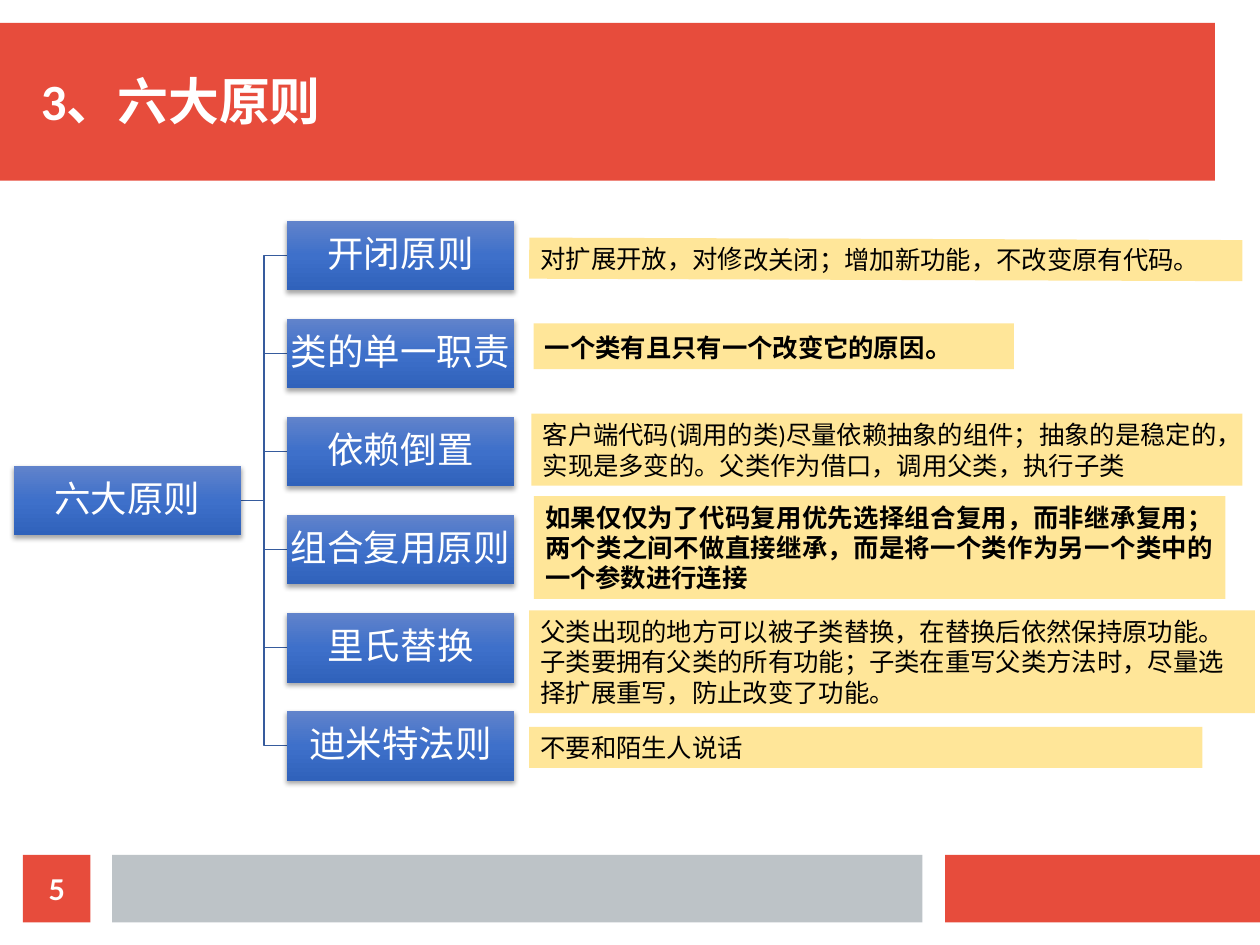
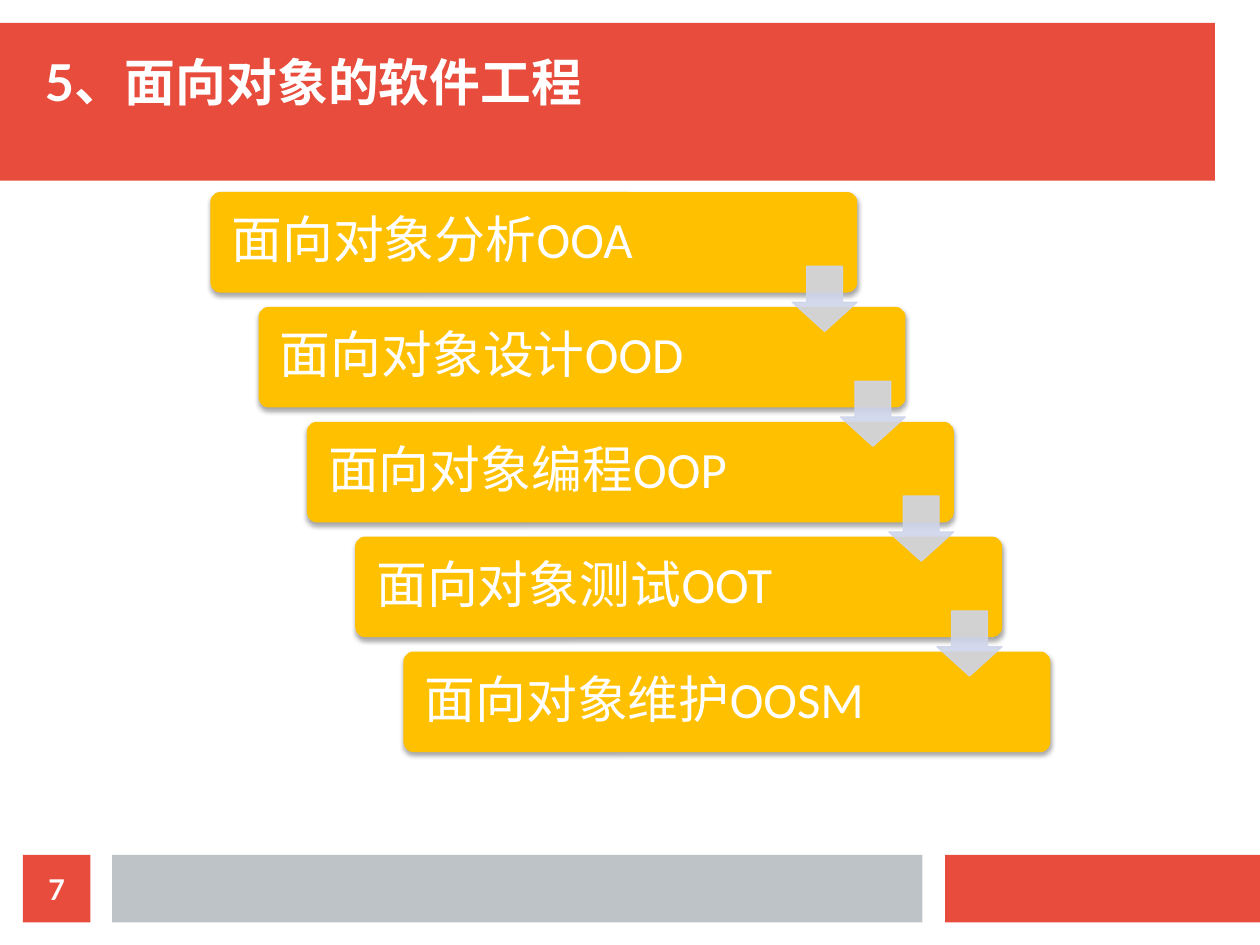
import pptx
import pptx.util
import pptx.dml.color
import pptx.enum.shapes
import pptx.enum.text
import pptx.oxml
import pptx.oxml.ns

Inches = pptx.util.Inches
Pt = pptx.util.Pt
SHAPE = pptx.enum.shapes.MSO_SHAPE
ALIGN = pptx.enum.text.PP_ALIGN
ANCHOR = pptx.enum.text.MSO_ANCHOR

COLORS = {
    "red": "E74C3C", "grey": "BDC3C7", "white": "FFFFFF", "black": "000000",
    "branch": "365B9D", "note": "FFE699", "step": "FFC000", "arrow": "CFD5EA",
}
NODE_GRADIENT = [(0, "6183CB"), (50, "3E70CA"), (100, "3062BB")]
BANDS = [
    ((0, 0.2, 10.63, 1.38), "red"),
    ((8.27, 7.48, 2.76, 0.59), "red"),
    ((0.98, 7.48, 7.09, 0.59), "grey"),
]
NUMBER_BOX = (0.2, 7.48, 0.59, 0.59)
NOTE_INSETS = (0.1, 0.05, 0.1, 0.05)

ROOT = "六大原则"
PRINCIPLES = ["开闭原则", "类的单一职责", "依赖倒置", "组合复用原则", "里氏替换", "迪米特法则"]
NOTES = [
    {"box": (4.63, 2.09, 6.24, 0.36), "rotation": 0.2, "align": ALIGN.JUSTIFY,
     "text": [["对扩展开放，对修改关闭；增加新功能，不改变原有代码。"]]},
    {"box": (4.67, 2.83, 4.2, 0.4), "bold": True, "align": ALIGN.JUSTIFY,
     "text": [["一个类有且只有一个改变它的原因", ("。", 18)]]},
    {"box": (4.65, 3.62, 6.22, 0.63),
     "text": [["客户端代码(调用的类)尽量依赖抽象的组件；抽象的是稳定的，"
               "实现是多变的。父类作为借口，调用父类，执行子类"]]},
    {"box": (4.67, 4.34, 6.05, 0.9), "bold": True, "align": ALIGN.JUSTIFY,
     "text": [["如果仅仅为了代码复用优先选择组合复用，而非继承复用；"
               "两个类之间不做直接继承，而是将一个类作为另一个类中的一个参数进行连接"]]},
    {"box": (4.63, 5.34, 6.35, 0.9),
     "text": [["父类出现的地方可以被子类替换，在替换后依然保持原功能。"],
              ["子类要拥有父类的所有功能；子类在重写父类方法时，尽量选择扩展重写，防止改变了功能。"]]},
    {"box": (4.63, 6.36, 5.89, 0.36), "text": [["不要和陌生人说话"]]},
]
STEPS = ["面向对象分析OOA", "面向对象设计OOD", "面向对象编程OOP", "面向对象测试OOT", "面向对象维护OOSM"]


def rgb(name):
    return pptx.dml.color.RGBColor.from_string(COLORS[name])


def xml(tag, body="", attrs=""):
    return pptx.oxml.parse_xml(
        f'<a:{tag} {pptx.oxml.ns.nsdecls("a")} {attrs}>{body}</a:{tag}>')


def put_text(sp, text, size=16, font="Calibri", color="white", bold=False, align=ALIGN.LEFT,
             anchor=ANCHOR.TOP, insets=(0, 0, 0, 0), spacing=None, after=None):
    tf = sp.text_frame
    tf.word_wrap = True
    tf.vertical_anchor = anchor
    tf.margin_left, tf.margin_top, tf.margin_right, tf.margin_bottom = map(Inches, insets)
    paragraphs = [[text]] if isinstance(text, str) else text
    for i, runs in enumerate(paragraphs):
        p = tf.add_paragraph() if i else tf.paragraphs[0]
        p.alignment = align
        if spacing:
            p.line_spacing = spacing
        if after:
            p.space_after = Pt(after)
        for run in runs:
            words, run_size = (run, size) if isinstance(run, str) else run
            r = p.add_run()
            r.text = words
            r.font.name, r.font.size, r.font.bold = font, Pt(run_size), bold
            r.font.color.rgb = rgb(color)


def add_box(s, box, fill=None, kind=SHAPE.RECTANGLE, adjust=(), shadow=False):
    sp = s.shapes.add_shape(kind, *map(Inches, box))
    for i, value in enumerate(adjust):
        sp.adjustments[i] = value
    if fill:
        sp.fill.solid()
        sp.fill.fore_color.rgb = rgb(fill)
    sp.line.fill.background()
    sp.shadow.inherit = False
    if shadow:
        effects = sp._element.spPr.find(pptx.oxml.ns.qn("a:effectLst"))
        effects.append(xml(
            "outerShdw", '<a:srgbClr val="000000"><a:alpha val="35000"/></a:srgbClr>',
            'blurRad="40000" dist="23000" dir="5400000" rotWithShape="0"'))
    return sp


def add_node(s, box, text):
    sp = add_box(s, box, shadow=True)
    stops = "".join(f'<a:gs pos="{pos * 1000}"><a:srgbClr val="{color}"/></a:gs>'
                    for pos, color in NODE_GRADIENT)
    geometry = sp._element.spPr.find(pptx.oxml.ns.qn("a:prstGeom"))
    geometry.addnext(xml("gradFill", f'<a:gsLst>{stops}</a:gsLst><a:lin ang="5400000" scaled="0"/>',
                         'rotWithShape="1"'))
    put_text(sp, text, size=23, align=ALIGN.CENTER, anchor=ANCHOR.MIDDLE,
             insets=(0.02,) * 4, spacing=0.9, after=8.1)


def add_branch(s, points):
    start, *rest = [(Inches(x), Inches(y)) for x, y in points]
    builder = s.shapes.build_freeform(*start)
    builder.add_line_segments(rest, close=False)
    sp = builder.convert_to_shape()
    sp.fill.background()
    sp.line.color.rgb = rgb("branch")
    sp.line.width = Pt(0.75)
    sp.shadow.inherit = False


def add_frame(number, title, box, **style):
    s = prs.slides.add_slide(prs.slide_layouts[6])
    for band, color in BANDS:
        add_box(s, band, color)
    put_text(add_box(s, NUMBER_BOX, "red"), number, size=18, font="Lato", bold=True,
             align=ALIGN.CENTER, anchor=ANCHOR.MIDDLE)
    put_text(s.shapes.add_textbox(*map(Inches, box)), title, size=32, bold=True, **style)
    return s


def build_principles():
    s = add_frame("5", "3、六大原则", (0.26, 0.56, 3.16, 0.63), insets=NOTE_INSETS)
    w, h, root_x, child_x, first, last = 1.99, 0.61, 0.12, 2.51, 1.93, 6.22
    pitch = (last - first) / (len(PRINCIPLES) - 1)
    tops = [first + i * pitch for i in range(len(PRINCIPLES))]
    root_top = (first + last) / 2
    root_right, root_mid = root_x + w, root_top + h / 2
    trunk = (root_right + child_x) / 2
    for top in reversed(tops):
        mid = top + h / 2
        add_branch(s, [(root_right, root_mid), (trunk, root_mid), (trunk, mid), (child_x, mid)])
    add_node(s, (root_x, root_top, w, h), ROOT)
    for top, name in zip(tops, PRINCIPLES):
        add_node(s, (child_x, top, w, h), name)
    for note in NOTES:
        sp = add_box(s, note["box"], "note")
        sp.rotation = note.get("rotation", 0)
        put_text(sp, note["text"], color="black", bold=note.get("bold", False),
                 align=note.get("align", ALIGN.LEFT), insets=NOTE_INSETS)


def build_process():
    s = add_frame("7", "5、面向对象的软件工程", (0.39, 0, 10.24, 0.98), font="Lato", anchor=ANCHOR.BOTTOM)
    w, h, arrow, overlap = 5.66, 0.88, 0.57, 0.23
    gaps = len(STEPS) - 1
    dx, dy = (3.53 - 1.84) / gaps, (5.7 - 1.68) / gaps
    places = [(1.84 + i * dx, 1.68 + i * dy) for i in range(len(STEPS))]
    for (x, y), text in zip(places, STEPS):
        sp = add_box(s, (x, y, w, h), "step", SHAPE.ROUNDED_RECTANGLE, [0.1], shadow=True)
        put_text(sp, text, size=32, anchor=ANCHOR.MIDDLE, insets=(0.16, 0.16, 0.13, 0.16),
                 spacing=0.9, after=11.2)
    for x, y in places[:-1]:
        sp = add_box(s, (x + w - arrow, y + h - overlap, arrow, arrow), "arrow",
                     SHAPE.DOWN_ARROW, [0.55, 0.45])
        sp.line.color.rgb = rgb("arrow")
        sp.line.width = Pt(0.75)
        for color in sp._element.spPr.iter(pptx.oxml.ns.qn("a:srgbClr")):
            color.append(xml("alpha", attrs='val="90000"'))


prs = pptx.Presentation()
prs.slide_width, prs.slide_height = pptx.util.Cm(28), pptx.util.Cm(21)
build_principles()
build_process()
prs.save("out.pptx")
